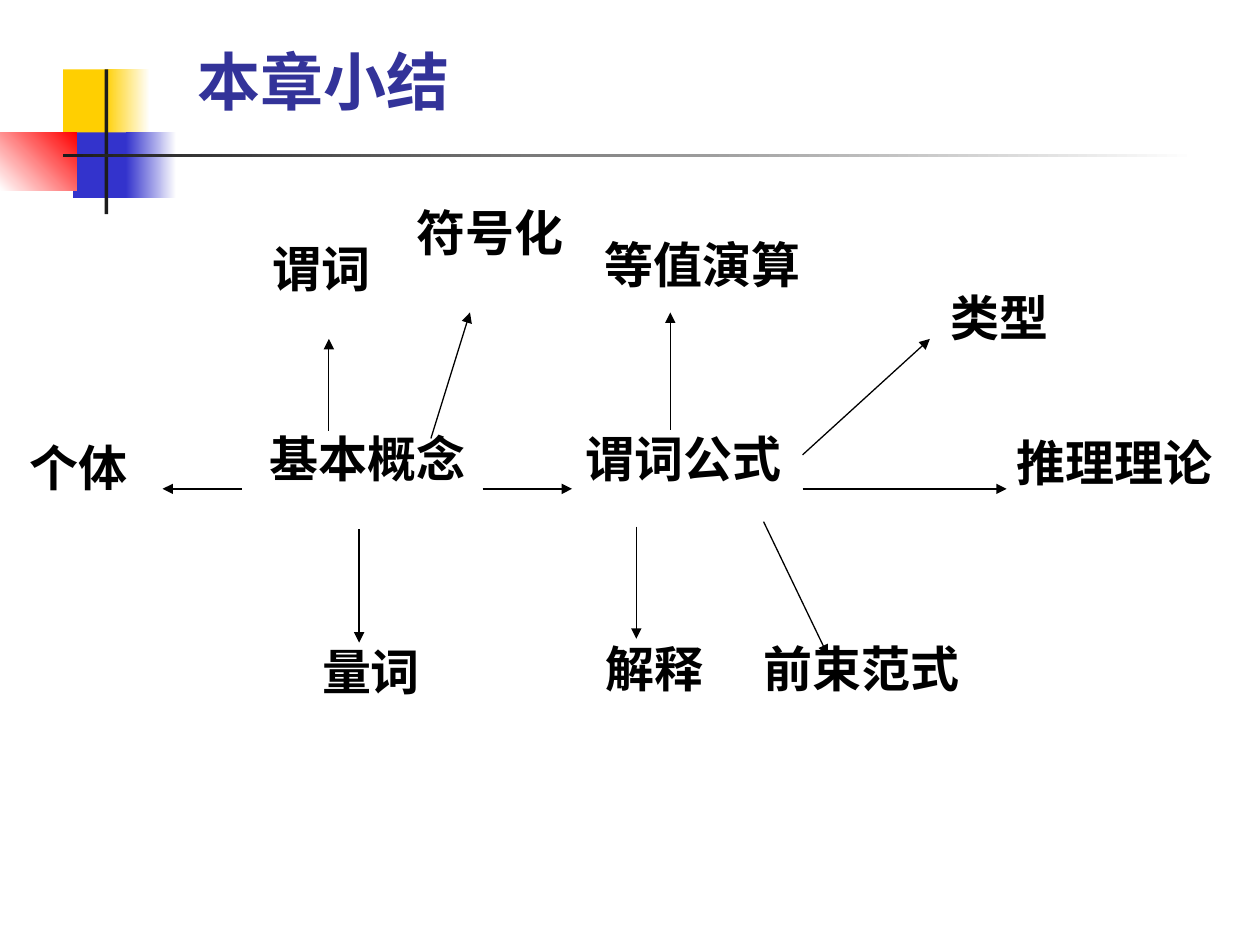
from lxml import etree
from pptx import Presentation
from pptx.dml.color import RGBColor
from pptx.enum.shapes import MSO_CONNECTOR, MSO_SHAPE
from pptx.enum.text import MSO_ANCHOR, MSO_AUTO_SIZE, PP_ALIGN
from pptx.oxml.ns import qn
from pptx.util import Inches, Pt

RECTANGLE = MSO_SHAPE.RECTANGLE
STRAIGHT = MSO_CONNECTOR.STRAIGHT
LEFT, CENTER = PP_ALIGN.LEFT, PP_ALIGN.CENTER
TOP, BOTTOM = MSO_ANCHOR.TOP, MSO_ANCHOR.BOTTOM
NO_FIT = MSO_AUTO_SIZE.NONE

YELLOW, BLUE, RED = "FFCF01", "3333CC", "FF0000"
DARK, WHITE, BLACK, TITLE_BLUE = "1C1C1C", "FFFFFF", "000000", "333399"
LABEL_HEIGHT = 0.57

# left, top, width, height, colours (two make a gradient), gradient angle
DECORATION = [
    (0.5, 0.55, 0.48, 0.52, [YELLOW], 0),
    (0.83, 0.55, 0.36, 0.52, [YELLOW, WHITE], 0),
    (0.58, 1.05, 0.46, 0.52, [BLUE], 0),
    (1, 1.05, 0.4, 0.52, [BLUE, WHITE], 0),
    (0, 1.05, 0.61, 0.46, [WHITE, RED], 45),
    (0.83, 0.55, 0.03, 1.15, [DARK], 0),
    (0.5, 1.22, 9, 0.03, [DARK, WHITE], 0),
]

# text, left, top, width, alignment, font
LABELS = [
    ("基本概念", 2.04, 3.35, 1.75, CENTER, "Arial"),
    ("谓词", 1.9, 1.84, 1.3, CENTER, "Arial"),
    ("个体", 0.14, 3.42, 0.97, CENTER, "Arial"),
    ("谓词公式", 4.55, 3.35, 1.75, CENTER, "Arial"),
    ("符号化", 3.21, 1.56, 1.36, CENTER, "Arial"),
    ("解释", 4.71, 5.02, 0.97, CENTER, "Arial"),
    ("类型", 7.45, 2.23, 0.97, CENTER, "Arial"),
    ("等值演算", 4.7, 1.81, 1.75, LEFT, "Arial"),
    ("前束范式", 5.96, 5.02, 1.75, LEFT, "Arial"),
    ("量词", 2.46, 5.04, 0.97, CENTER, "Arial"),
    ("推理理论", 7.97, 3.38, 1.75, LEFT, "Lato"),
]

# start x, start y, end x, end y; the head is at the end
ARROWS = [
    (3.83, 3.88, 4.54, 3.88),
    (2.61, 3.42, 2.61, 2.69),
    (1.92, 3.88, 1.29, 3.88),
    (3.42, 3.48, 3.73, 2.48),
    (5.05, 4.18, 5.05, 5.07),
    (6.37, 3.61, 7.38, 2.69),
    (5.32, 3.41, 5.32, 2.48),
    (6.06, 4.14, 6.57, 5.2),
    (2.85, 4.2, 2.85, 5.1),
    (6.37, 3.88, 7.99, 3.88),
]


def color(hex_string):
    return RGBColor.from_string(hex_string)


def add_block(slide, left, top, width, height, colors, angle):
    shape = slide.shapes.add_shape(
        RECTANGLE, Inches(left), Inches(top), Inches(width), Inches(height))
    shape.shadow.inherit = False
    shape.line.fill.background()
    if len(colors) == 1:
        shape.fill.solid()
        shape.fill.fore_color.rgb = color(colors[0])
        return
    shape.fill.gradient()
    shape.fill.gradient_angle = angle
    for stop, hex_string in zip(shape.fill.gradient_stops, colors):
        stop.color.rgb = color(hex_string)


def add_text(slide, text, left, top, width, height, size, font_name,
             hex_string, alignment=LEFT, anchor=TOP, wrap=False):
    box = slide.shapes.add_textbox(
        Inches(left), Inches(top), Inches(width), Inches(height))
    text_frame = box.text_frame
    text_frame.text = text
    text_frame.word_wrap = wrap
    text_frame.auto_size = NO_FIT
    text_frame.vertical_anchor = anchor
    paragraph = text_frame.paragraphs[0]
    paragraph.alignment = alignment
    font = paragraph.runs[0].font
    font.name = font_name
    font.size = Pt(size)
    font.bold = True
    font.color.rgb = color(hex_string)


def add_arrow(slide, start_x, start_y, end_x, end_y):
    connector = slide.shapes.add_connector(
        STRAIGHT, Inches(start_x), Inches(start_y), Inches(end_x), Inches(end_y))
    connector.line.color.rgb = color(BLACK)
    connector.line.width = Pt(0.75)
    line = connector.line._get_or_add_ln()
    etree.SubElement(line, qn("a:tailEnd"), type="triangle")
    etree.SubElement(connector._element.spPr, qn("a:effectLst"))


def main():
    presentation = Presentation()
    presentation.slide_width = Inches(10)
    presentation.slide_height = Inches(7.5)
    slide = presentation.slides.add_slide(presentation.slide_layouts[6])

    # Corner decoration and title
    for block in DECORATION:
        add_block(slide, *block)
    add_text(slide, "本章小结", 1.47, 0.28, 5.96, 0.71, 36, "Times New Roman",
             TITLE_BLUE, anchor=BOTTOM, wrap=True)

    # Concept map
    for arrow in ARROWS:
        add_arrow(slide, *arrow)
    for text, left, top, width, alignment, font_name in LABELS:
        add_text(slide, text, left, top, width, LABEL_HEIGHT, 28, font_name,
                 BLACK, alignment)

    presentation.save("out.pptx")


if __name__ == "__main__":
    main()
